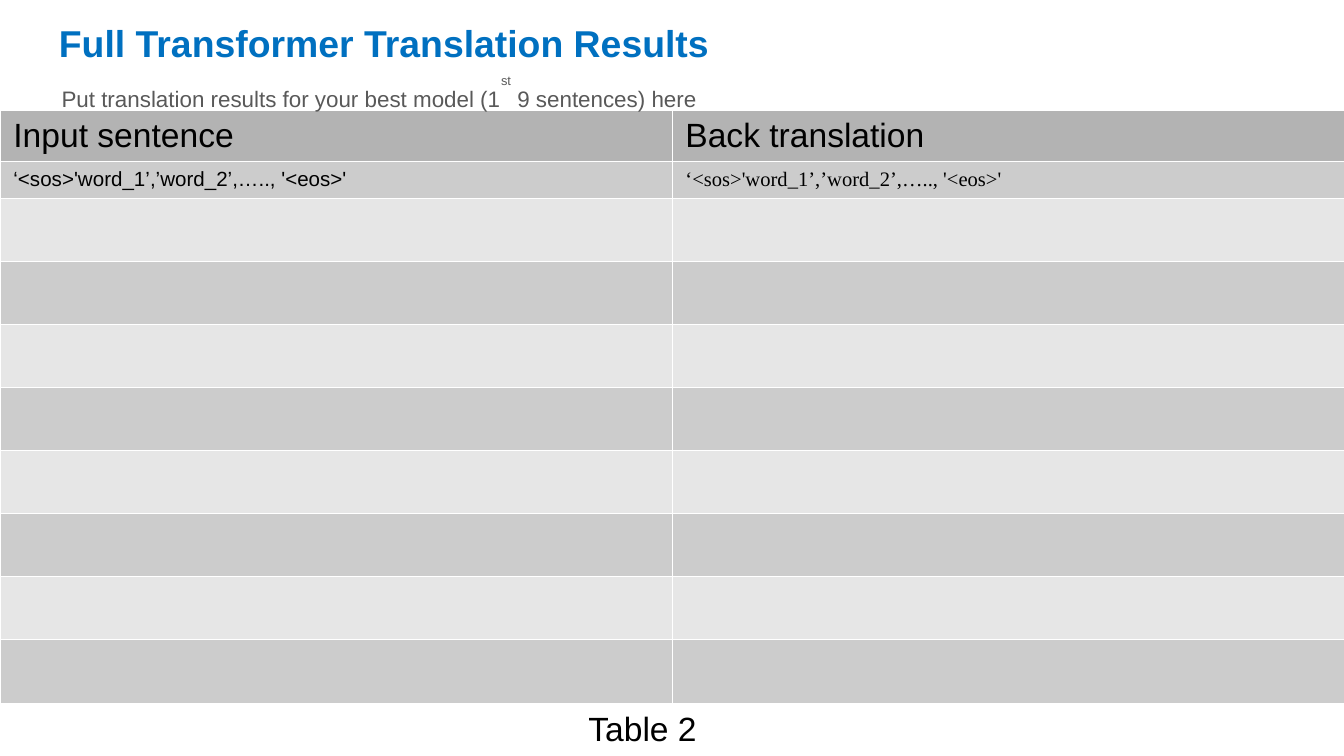
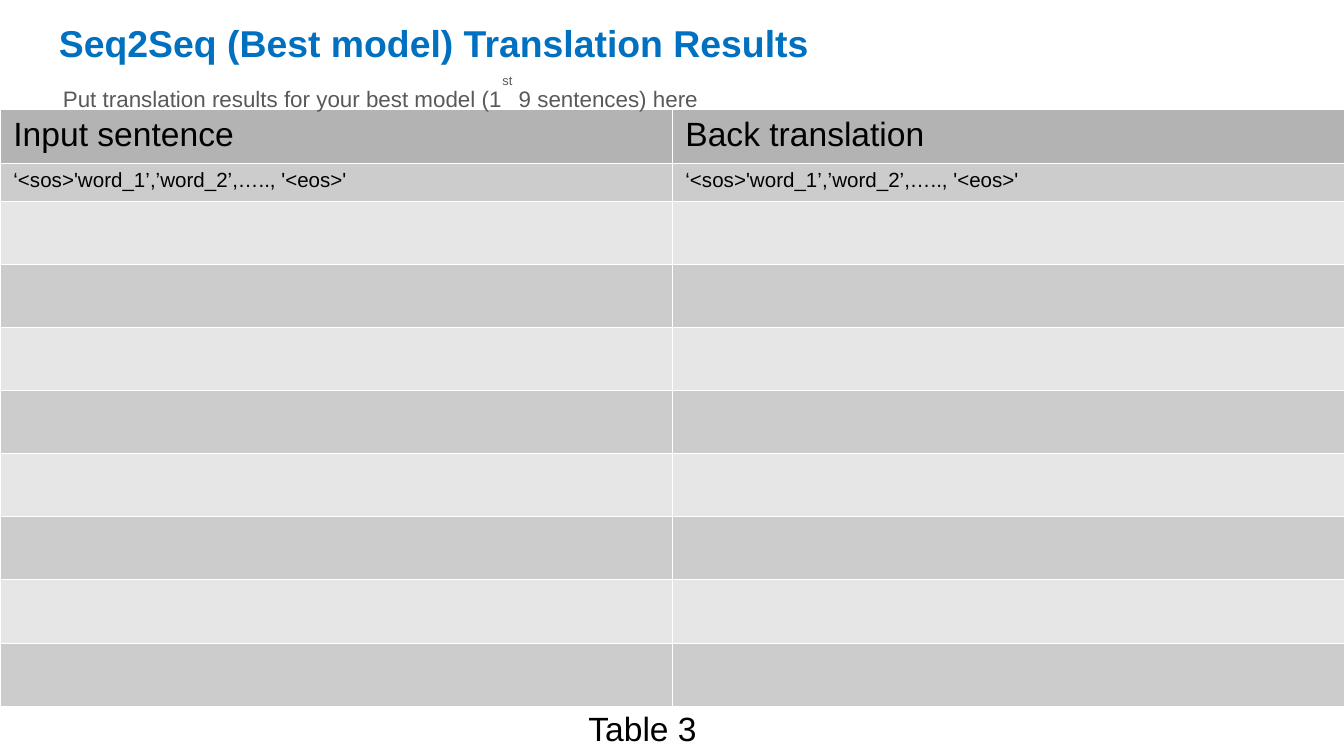
import pptx
import pptx.util
import pptx.dml.color
import pptx.oxml
import pptx.oxml.ns

Inches, Pt = pptx.util.Inches, pptx.util.Pt
RGBColor = pptx.dml.color.RGBColor

# Shared colours and fonts
BLACK = RGBColor(0x00, 0x00, 0x00)
WHITE = RGBColor(0xFF, 0xFF, 0xFF)
TITLE_BLUE = RGBColor(0x00, 0x70, 0xC0)
TEXT_GREY = RGBColor(0x59, 0x59, 0x59)
HEADER_GREY = RGBColor(0xB3, 0xB3, 0xB3)
BANDS = (RGBColor(0xCC, 0xCC, 0xCC), RGBColor(0xE6, 0xE6, 0xE6))
SANS, SERIF = "Arial", "Times New Roman"

# Shared table content
HEADERS = ("Input sentence", "Back translation")
SAMPLE = "‘<sos>'word_1’,’word_2’,….., '<eos>'"
ROW_HEIGHTS = [0.38, 0.27] + [0.47] * 8
TABLE_HEIGHT = 4.43
BORDER = Pt(0.06)


def add_run(p, text, size, color=BLACK, font=SANS, bold=False, baseline=None):
    r = p.add_run()
    r.text = text
    r.font.size = Pt(size)
    r.font.name = font
    r.font.bold = bold
    r.font.color.rgb = color
    if baseline is not None:
        r.font._element.set("baseline", str(baseline * 1000))


def add_text_box(s, left, top, width, height, inset=0.05):
    """Add a wrapping text box and return its first paragraph."""
    tf = s.shapes.add_textbox(Inches(left), Inches(top),
                              Inches(width), Inches(height)).text_frame
    tf.word_wrap = True
    tf.margin_top = tf.margin_bottom = Inches(inset)
    return tf.paragraphs[0]


def set_borders(cell):
    tc_pr = cell._tc.get_or_add_tcPr()
    for side in ("lnL", "lnR", "lnT", "lnB"):
        tc_pr.append(pptx.oxml.parse_xml(
            f'<a:{side} {pptx.oxml.ns.nsdecls("a")} w="{int(BORDER)}">'
            f'<a:solidFill><a:srgbClr val="{WHITE}"/></a:solidFill></a:{side}>'))


def add_results_table(s, top, back_font):
    frame = s.shapes.add_table(len(ROW_HEIGHTS), len(HEADERS), 0, Inches(top),
                               Inches(10), Inches(TABLE_HEIGHT))
    table = frame.table
    table.first_row = table.horz_banding = False
    for i, height in enumerate(ROW_HEIGHTS):
        table.rows[i].height = Inches(height)
        for cell in table.rows[i].cells:
            set_borders(cell)
            cell.fill.solid()
            cell.fill.fore_color.rgb = BANDS[(i - 1) % 2] if i else HEADER_GREY
    # Row heights reset the frame, so its height comes last
    frame.height = Inches(TABLE_HEIGHT)

    # Header and sample rows; the others stay empty
    for j, (header, font) in enumerate(zip(HEADERS, (SANS, back_font))):
        add_run(table.cell(0, j).text_frame.paragraphs[0], header, 18)
        add_run(table.cell(1, j).text_frame.paragraphs[0], SAMPLE, 11, font=font)


def add_results_slide(prs, title, caption, table_top, hint_left, hint_width,
                      back_font):
    s = prs.slides.add_slide(prs.slide_layouts[6])
    add_results_table(s, table_top, back_font)

    # Caption under the table
    add_run(add_text_box(s, 4.28, 5.22, 1.1, 0.4), caption, 18)

    # Title
    add_run(add_text_box(s, 0.34, 0.05, 9.32, 0.62, inset=0.1),
            title, 20, TITLE_BLUE, bold=True)

    # Hint with a raised ordinal
    p = add_text_box(s, hint_left, 0.49, hint_width, 0.66)
    add_run(p, "Put translation results for your best model (1", 12, TEXT_GREY)
    add_run(p, "st", 12, TEXT_GREY, baseline=101)
    add_run(p, " 9 sentences) here", 12, TEXT_GREY, baseline=0)


def main():
    prs = pptx.Presentation()
    # Widescreen, 16:9
    prs.slide_width = Inches(10)
    prs.slide_height = prs.slide_width * 9 // 16
    add_results_slide(prs, "Full Transformer Translation Results ", "Table 2",
                      0.82, 0.36, 8, SERIF)
    add_results_slide(prs, "Seq2Seq (Best model) Translation Results ", "Table 3",
                      0.81, 0.37, 7.96, SANS)
    prs.save("out.pptx")


main()
